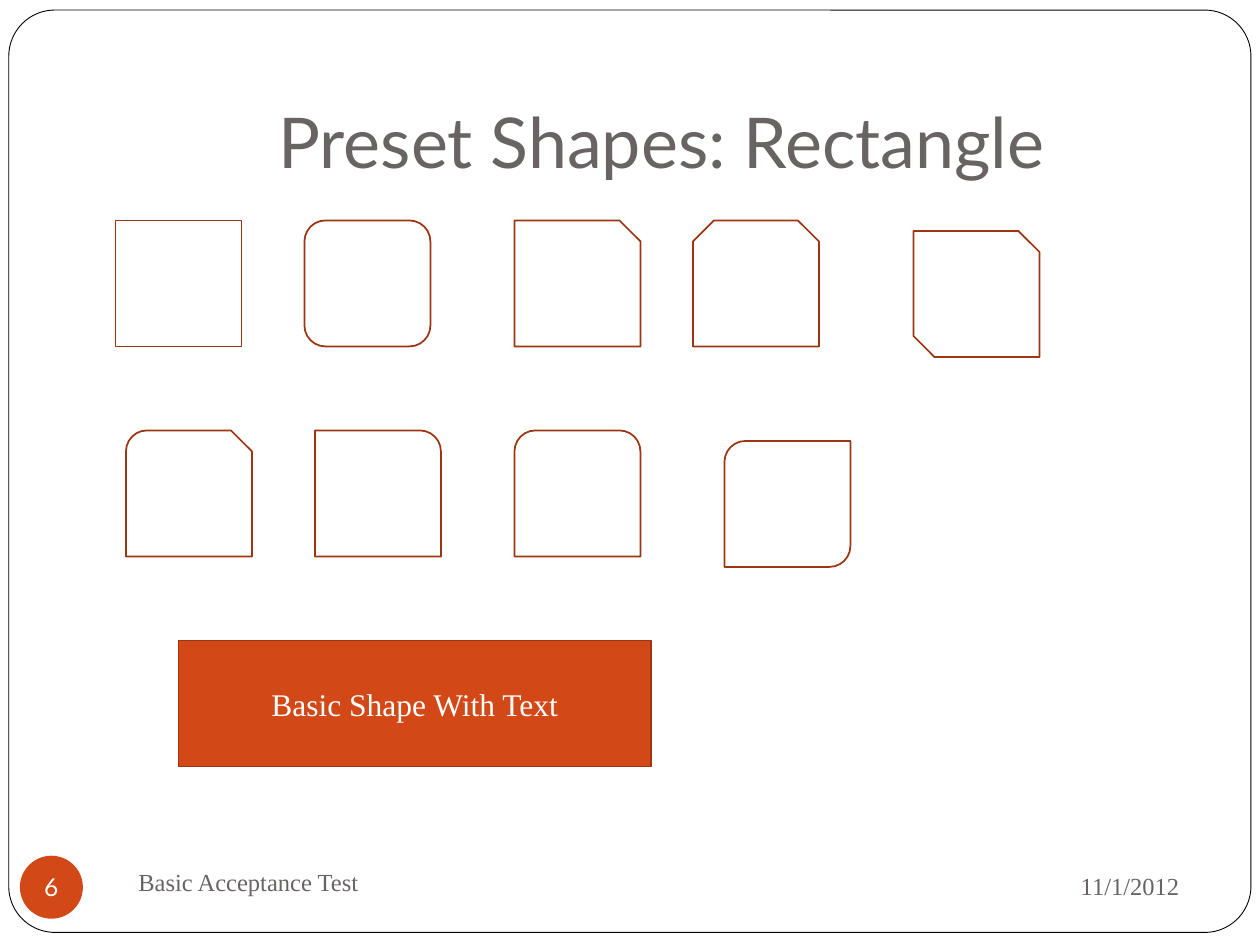
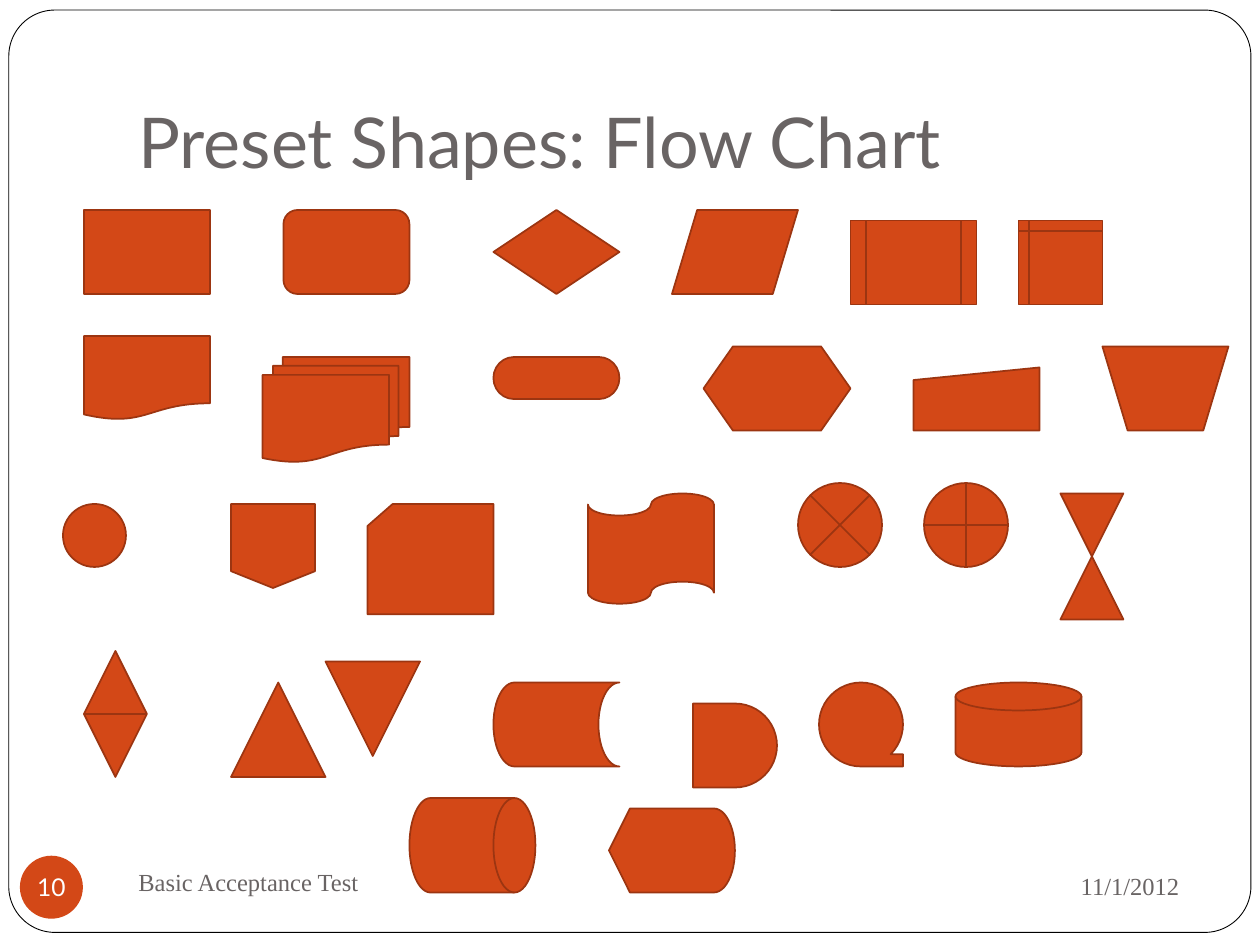
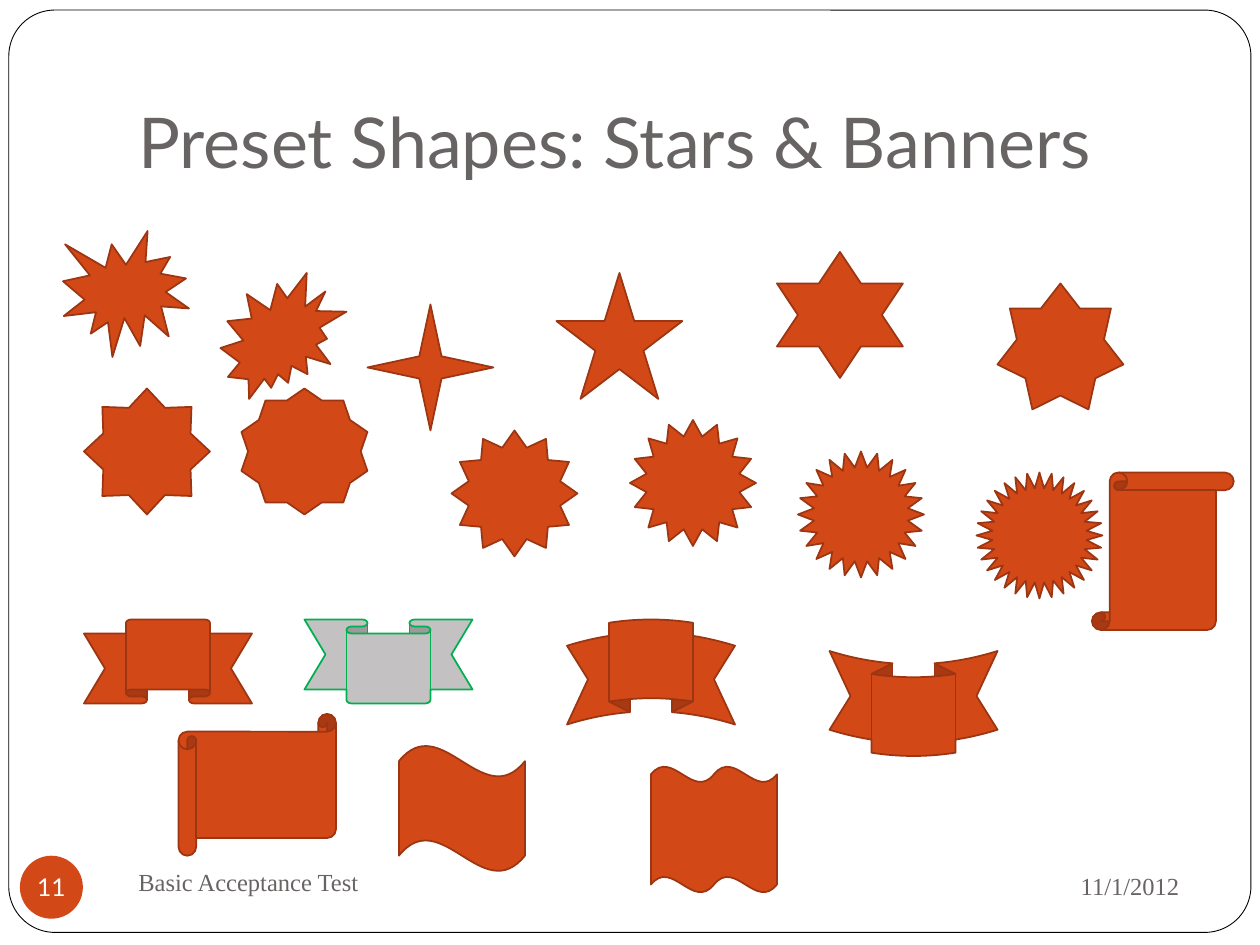
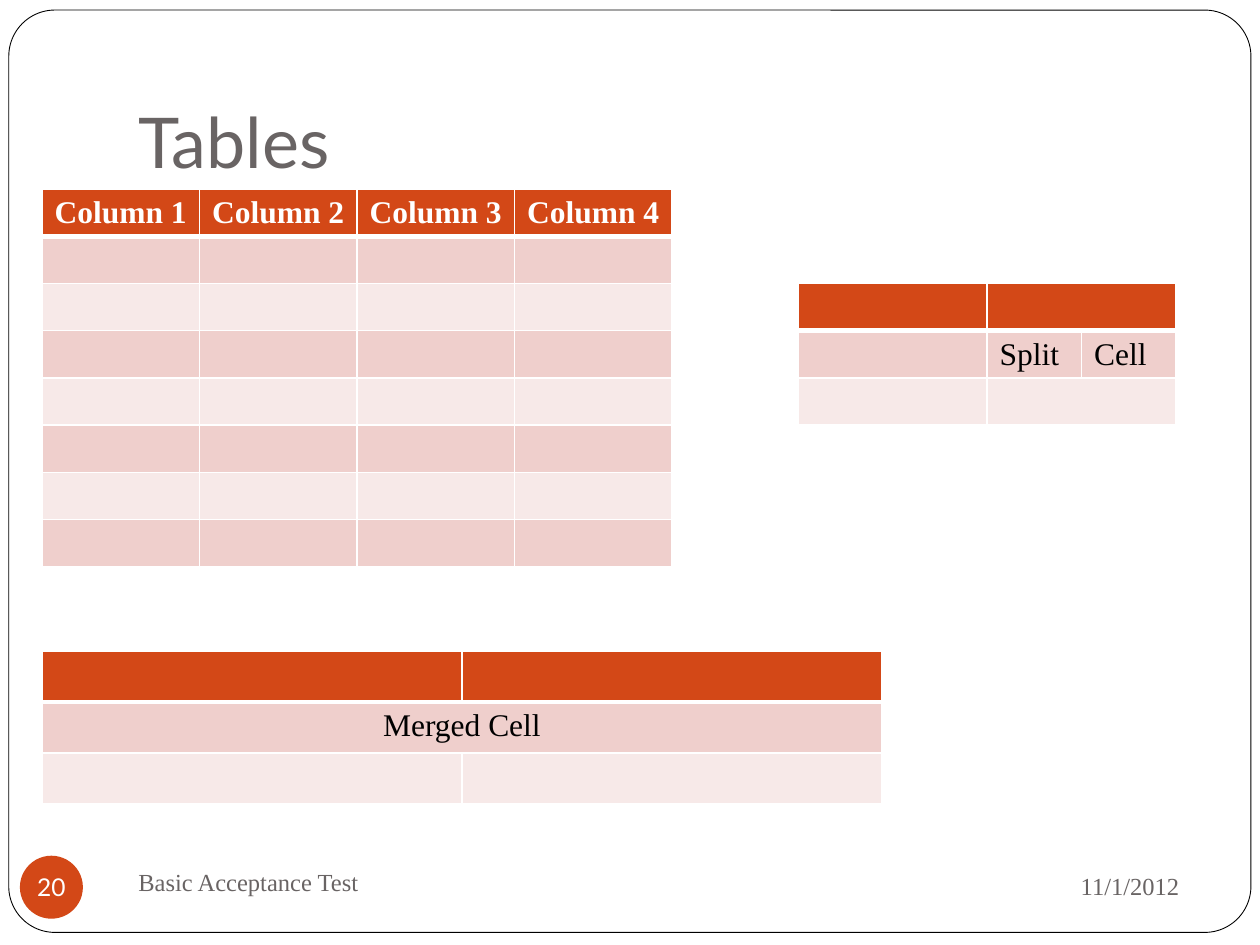
from lxml import etree
from pptx import Presentation
from pptx import util as u
from pptx.dml.color import RGBColor
from pptx.enum import shapes, text
from pptx.oxml import ns

CELLS_PER_INCH = 12
ACCENT, OUTLINE, GRAY, WHITE, BLACK = "D34817", "9C3511", "696464", "FFFFFF", "000000"
BANDS = ("F7E9E8", "EFCFCC")
HEADING_FONT, BODY_FONT = "Lato", "Times New Roman"
LEFT, CENTER, RIGHT = text.PP_ALIGN.LEFT, text.PP_ALIGN.CENTER, text.PP_ALIGN.RIGHT
TITLE_BOX = (12, 3.6, 102, 15)

RECTANGLES = [
    ("RECTANGLE", 11, 21), ("ROUNDED_RECTANGLE", 29, 21), ("SNIP_1_RECTANGLE", 49, 21),
    ("SNIP_2_SAME_RECTANGLE", 66, 21), ("SNIP_2_DIAG_RECTANGLE", 87, 22),
    ("SNIP_ROUND_RECTANGLE", 12, 41), ("ROUND_1_RECTANGLE", 30, 41),
    ("ROUND_2_SAME_RECTANGLE", 49, 41), ("ROUND_2_DIAG_RECTANGLE", 69, 42),
]
FLOW_SYMBOLS = [
    ("PROCESS", 8, 20, 12, 8), ("ALTERNATE_PROCESS", 27, 20, 12, 8),
    ("DECISION", 47, 20, 12, 8), ("DATA", 64, 20, 12, 8),
    ("PREDEFINED_PROCESS", 81, 21, 12, 8), ("INTERNAL_STORAGE", 97, 21, 8, 8),
    ("DOCUMENT", 8, 32, 12, 8), ("MULTIDOCUMENT", 25, 34, 14, 10),
    ("TERMINATOR", 47, 34, 12, 4), ("PREPARATION", 67, 33, 14, 8),
    ("MANUAL_INPUT", 87, 35, 12, 6), ("MANUAL_OPERATION", 105, 33, 12, 8),
    ("CONNECTOR", 6, 48, 6, 6), ("OFFPAGE_CONNECTOR", 22, 48, 8, 8),
    ("CARD", 35, 48, 12, 10.5), ("PUNCHED_TAPE", 56, 47, 12, 10.5),
    ("SUMMING_JUNCTION", 76, 46, 8, 8), ("OR", 88, 46, 8, 8),
    ("COLLATE", 101, 47, 6, 12), ("SORT", 8, 62, 6, 12),
    ("EXTRACT", 22, 65, 9, 9), ("MERGE", 31, 63, 9, 9),
    ("STORED_DATA", 47, 65, 12, 8), ("DELAY", 66, 67, 8, 8),
    ("SEQUENTIAL_ACCESS_STORAGE", 78, 65, 8, 8), ("MAGNETIC_DISK", 91, 65, 12, 8),
    ("DIRECT_ACCESS_STORAGE", 39, 76, 12, 9), ("DISPLAY", 58, 77, 12, 8),
]
STARS = [
    ("EXPLOSION1", 6, 22), ("EXPLOSION2", 21, 26), ("STAR_4_POINT", 35, 29),
    ("STAR_5_POINT", 53, 26), ("STAR_6_POINT", 74, 24), ("STAR_7_POINT", 95, 27),
    ("STAR_8_POINT", 8, 37), ("STAR_10_POINT", 23, 37), ("STAR_12_POINT", 43, 41),
    ("STAR_16_POINT", 60, 40), ("STAR_24_POINT", 76, 43), ("STAR_32_POINT", 93, 45),
]
BANNERS = [
    ("UP_RIBBON", 8, 59, 16, 8), ("DOWN_RIBBON", 29, 59, 16, 8, "C3C1C1", "00B050"),
    ("CURVED_UP_RIBBON", 54, 59, 16, 10), ("CURVED_DOWN_RIBBON", 79, 62, 16, 10),
    ("VERTICAL_SCROLL", 104, 45, 13.5, 15), ("HORIZONTAL_SCROLL", 17, 68, 15, 13.5),
    ("WAVE", 38, 71, 12, 12), ("DOUBLE_WAVE", 62, 73, 12, 12),
]


def color(value):
    """Turn a hex string into a colour."""
    return RGBColor.from_string(value)


def cells(*counts):
    """Turn counts of grid cells into lengths."""
    return [u.Inches(count / CELLS_PER_INCH) for count in counts]


def write(frame, words, size, ink, font=BODY_FONT, align=LEFT, bold=False):
    """Put one formatted paragraph into a text frame."""
    frame.text = words
    paragraph = frame.paragraphs[0]
    paragraph.alignment = align
    for run in paragraph.runs:
        run.font.size, run.font.name, run.font.bold = u.Pt(size), font, bold
        run.font.color.rgb = color(ink)


def draw(slide, name, column, row, width=12, height=12, fill=ACCENT, line=OUTLINE, weight=1):
    """Draw a preset shape on the grid; no fill or line when that is None."""
    shape = slide.shapes.add_shape(shapes.MSO_SHAPE[name], *cells(column, row, width, height))
    shape.shadow.inherit = False
    if fill:
        shape.fill.solid()
        shape.fill.fore_color.rgb = color(fill)
    else:
        shape.fill.background()
    if line:
        shape.line.color.rgb = color(line)
        shape.line.width = u.Pt(weight)
    else:
        shape.line.fill.background()
    return shape


def add_footer(slide, words, box, align=LEFT):
    """Add a footer text on the grid."""
    frame = slide.shapes.add_textbox(*cells(*box)).text_frame
    frame.word_wrap = True
    frame.vertical_anchor = text.MSO_ANCHOR.MIDDLE
    write(frame, words, 14, GRAY, align=align)


def add_number(slide, number):
    """Add the round badge with the slide number."""
    frame = draw(slide, "OVAL", 1.9, 81.5, 6, 6, line=None).text_frame
    frame.margin_left = frame.margin_right = frame.margin_top = frame.margin_bottom = 0
    frame.word_wrap = False
    frame.vertical_anchor = text.MSO_ANCHOR.MIDDLE
    write(frame, str(number), 14, WHITE, HEADING_FONT, CENTER)


def prepare_layout(presentation):
    """Place the title on the title-only layout."""
    layout = presentation.slide_layouts[5]
    title = layout.placeholders[0]
    title.left, title.top, title.width, title.height = cells(*TITLE_BOX)
    frame = title.text_frame
    frame.auto_size = text.MSO_AUTO_SIZE.NONE
    frame.vertical_anchor = text.MSO_ANCHOR.BOTTOM
    frame.margin_bottom = u.Inches(0.1)
    return layout


def frame_layout(layout, slide):
    """Draw the rounded page frame and move it behind everything on the layout."""
    border = draw(slide, "ROUNDED_RECTANGLE", 0.84, 0.96, 118.3, 87.84, WHITE, BLACK, 0.5)
    border.adjustments[0] = 0.05
    layout.shapes.element.insert(2, border.element)


def add_slide(presentation, layout, title, number, align=LEFT):
    """Add a slide with its title, footers and number."""
    slide = presentation.slides.add_slide(layout)
    write(slide.shapes.title.text_frame, title, 40, GRAY, HEADING_FONT, align)
    add_footer(slide, "11/1/2012", (81, 81.25, 32.5, 6.25), RIGHT)
    add_footer(slide, "Basic Acceptance Test", (12, 81, 52, 6))
    add_number(slide, number)
    return slide


def set_borders(cell, **weights):
    """Give a cell white borders, with weights in points by side."""
    properties = cell._tc.get_or_add_tcPr()
    for side in "LRTB":
        line = etree.SubElement(properties, ns.qn(f"a:ln{side}"), w=str(u.Pt(weights.get(side, 1))))
        fill = etree.SubElement(line, ns.qn("a:solidFill"))
        etree.SubElement(fill, ns.qn("a:srgbClr"), val=WHITE)


def add_grid(slide, column, row, widths, row_count, row_height, words, merges=(), align=LEFT):
    """Add a banded table; words maps (row, column) to text, merges lists cell pairs."""
    box = cells(column, row, sum(widths), row_count * row_height)
    table = slide.shapes.add_table(row_count, len(widths), *box).table
    for table_column, width in zip(table.columns, cells(*widths)):
        table_column.width = width
    for i, table_row in enumerate(table.rows):
        table_row.height = cells(row_height)[0]
        header = i == 0
        for j, cell in enumerate(table_row.cells):
            cell.margin_bottom = u.Inches(0.02)
            set_borders(cell, T=3 if i == 1 else 1, B=3 if header else 1)
            cell.fill.solid()
            cell.fill.fore_color.rgb = color(ACCENT if header else BANDS[i % 2])
            if (i, j) in words:
                write(cell.text_frame, words[i, j], 18, WHITE if header else BLACK,
                      align=align, bold=header)
    for start, end in merges:
        table.cell(*start).merge(table.cell(*end))


def main():
    """Build the four slides."""
    presentation = Presentation()
    presentation.slide_width, presentation.slide_height = cells(120, 90)
    layout = prepare_layout(presentation)

    slide = add_slide(presentation, layout, "Preset Shapes: Rectangle", 6, CENTER)
    frame_layout(layout, slide)
    for outline in RECTANGLES:
        draw(slide, *outline, fill=None)
    label = draw(slide, "RECTANGLE", 17, 61, 45, 12)
    label.text_frame.vertical_anchor = text.MSO_ANCHOR.MIDDLE
    write(label.text_frame, "Basic Shape With Text", 18, WHITE, align=CENTER)

    slide = add_slide(presentation, layout, "Preset Shapes: Flow Chart", 10)
    for name, *box in FLOW_SYMBOLS:
        draw(slide, f"FLOWCHART_{name}", *box)

    slide = add_slide(presentation, layout, "Preset Shapes: Stars & Banners", 11)
    for item in STARS + BANNERS:
        draw(slide, *item)

    slide = add_slide(presentation, layout, "Tables", 20)
    add_grid(slide, 4, 18, [15] * 4, 8, 4.5, {(0, j): f"Column {j + 1}" for j in range(4)})
    add_grid(slide, 4, 62, [40] * 2, 3, 4.86, {(1, 0): "Merged Cell"},
             [((1, 0), (1, 1))], CENTER)
    add_grid(slide, 76, 27, [18, 9, 9], 3, 4.5, {(1, 1): "Split", (1, 2): "Cell"},
             [((i, 1), (i, 2)) for i in (0, 2)])

    presentation.save("out.pptx")


if __name__ == "__main__":
    main()
